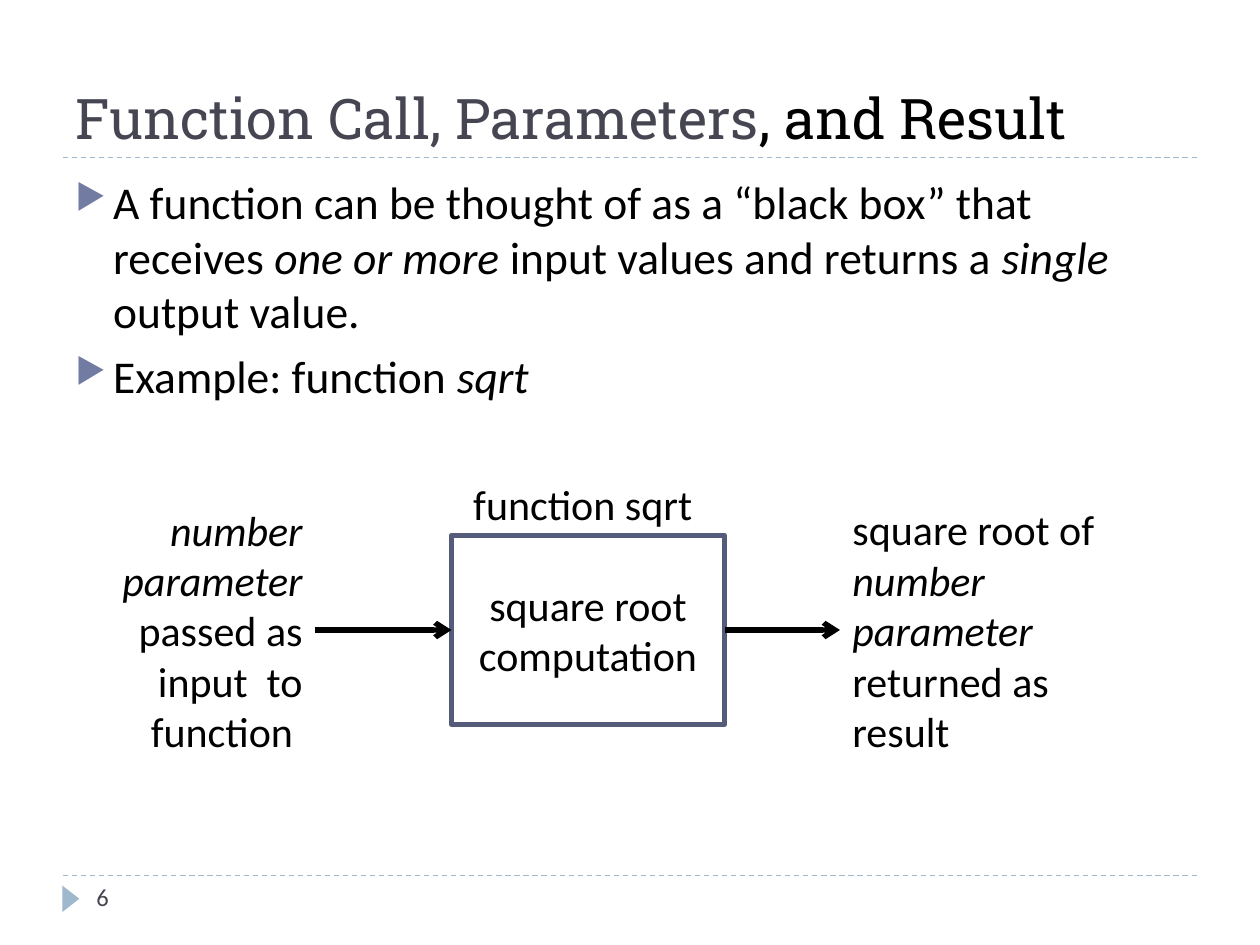
import dataclasses
import lxml.etree
import pptx
import pptx.dml.color
import pptx.enum.dml
import pptx.enum.shapes
import pptx.enum.text
import pptx.oxml.ns
import pptx.util

UNIT = pptx.util.Inches(1) / 12
COLS, ROWS = 120, 90
INK = {"black": "000000", "slate": "464653", "pale": "9FB8CD",
       "mark": "727CA3", "edge": "545C79"}
ALIGN = pptx.enum.text.PP_ALIGN
ANCHOR = pptx.enum.text.MSO_ANCHOR
SHAPE = pptx.enum.shapes.MSO_SHAPE
qn = pptx.oxml.ns.qn


@dataclasses.dataclass(frozen=True)
class Run:
    text: str
    slant: bool = False


@dataclasses.dataclass(frozen=True)
class Label:
    col: float
    row: float
    wide: float
    high: float
    runs: tuple[Run, ...]
    align: ALIGN = ALIGN.LEFT
    anchor: ANCHOR = ANCHOR.MIDDLE
    size: int = 24
    color: str = "black"
    boxed: bool = False


@dataclasses.dataclass(frozen=True)
class Rule:
    start: float
    end: float
    row: float
    color: str
    weight: float
    arrow: bool = False


def grid(*units: float) -> list[int]:
    return [round(unit * UNIT) for unit in units]


def tint(name: str) -> pptx.dml.color.RGBColor:
    return pptx.dml.color.RGBColor.from_string(INK[name])


def style(font, size: int, color: str, face: str = "Calibri") -> None:
    font.name, font.size = face, pptx.util.Pt(size)
    font.color.rgb = tint(color)


def write(para, runs: tuple[Run, ...], size: int, color: str) -> None:
    style(para.font, size, color)
    for item in runs:
        run = para.add_run()
        run.text = item.text
        if item.slant:
            run.font.italic = True


def draw_label(slide, label: Label) -> None:
    place = grid(label.col, label.row, label.wide, label.high)
    if label.boxed:
        shape = slide.shapes.add_shape(SHAPE.RECTANGLE, *place)
        shape.shadow.inherit = False
        shape.fill.background()
        shape.line.color.rgb = tint("edge")
        shape.line.width = pptx.util.Pt(3)
    else:
        shape = slide.shapes.add_textbox(*place)
    frame = shape.text_frame
    frame.word_wrap = True
    frame.vertical_anchor = label.anchor
    para = frame.paragraphs[0]
    para.alignment = label.align
    write(para, label.runs, label.size, label.color)


def draw_rule(slide, rule: Rule) -> None:
    line = slide.shapes.add_connector(
        pptx.enum.shapes.MSO_CONNECTOR.STRAIGHT,
        *grid(rule.start, rule.row, rule.end, rule.row))
    line.line.color.rgb = tint(rule.color)
    line.line.width = pptx.util.Pt(rule.weight)
    if rule.arrow:
        tip = lxml.etree.SubElement(line.line._get_or_add_ln(), qn("a:tailEnd"))
        tip.set("type", "arrow")
    else:
        line.line.dash_style = pptx.enum.dml.MSO_LINE.DASH
    lxml.etree.SubElement(line._element.spPr, qn("a:effectLst"))


def add_mark(para) -> None:
    props = para._p.get_or_add_pPr()
    inset = pptx.util.Inches(0.3)
    props.set("marL", str(inset))
    props.set("indent", str(-inset))
    color = lxml.etree.Element(qn("a:buClr"))
    lxml.etree.SubElement(color, qn("a:srgbClr")).set("val", INK["mark"])
    size = lxml.etree.Element(qn("a:buSzPct"))
    size.set("val", "76000")
    char = lxml.etree.Element(qn("a:buChar"))
    char.set("char", "▶")
    spot = props.index(props.find(qn("a:defRPr")))
    props[spot:spot] = [color, size, char]


def draw_title(slide) -> None:
    title = slide.shapes.title
    title.left, title.top, title.width, title.height = grid(6, 2, COLS - 12, 13)
    frame = title.text_frame
    frame.auto_size = pptx.enum.text.MSO_AUTO_SIZE.NONE
    frame.vertical_anchor = ANCHOR.BOTTOM
    para = frame.paragraphs[0]
    para.alignment = ALIGN.LEFT
    for text, color in (("Function Call, Parameters", "slate"),
                        (", and Result", "black")):
        run = para.add_run()
        run.text = text
        style(run.font, 32, color, "Roboto Slab")


def draw_body(slide, points: tuple[tuple[Run, ...], ...]) -> None:
    frame = slide.shapes.add_textbox(*grid(6, 16, COLS - 12, 65)).text_frame
    frame.word_wrap = True
    for spot, runs in enumerate(points):
        para = frame.add_paragraph() if spot else frame.paragraphs[0]
        write(para, runs, 26, "black")
        para.space_before = pptx.util.Pt(6)
        add_mark(para)


POINTS = (
    (Run("A function can be thought of as a “black box” that receives "),
     Run("one or more ", True), Run("input values and returns a "),
     Run("single", True), Run(" output value.")),
    (Run("Example: function "), Run("sqrt", True)),
)
LABELS = (
    Label(7, 47, 23, 26, (Run("number parameter ", True),
                          Run("passed as input  to function ")), ALIGN.RIGHT),
    Label(41, 44, 29, 8, (Run("function sqrt"),), ALIGN.CENTER),
    Label(43, 51, 26, 18, (Run("square root computation"),), ALIGN.CENTER,
          boxed=True),
    Label(80, 48, 26, 24, (Run("square root of "), Run("number parameter ", True),
                           Run("returned as result"))),
    Label(8, 83.4, 26, 4.8, (Run("6"),), anchor=ANCHOR.TOP, size=14,
          color="slate"),
)
RULES = (
    Rule(6, COLS - 6, 83.4, "pale", 0.75),
    Rule(6, COLS - 6, 15, "pale", 0.75),
    Rule(30, 43, 60, "black", 3, True),
    Rule(69, 80, 60, "black", 3, True),
)

deck = pptx.Presentation()
deck.slide_width, deck.slide_height = grid(COLS, ROWS)
slide = deck.slides.add_slide(deck.slide_layouts[5])
draw_title(slide)
draw_body(slide, POINTS)
for label in LABELS:
    draw_label(slide, label)
for rule in RULES:
    draw_rule(slide, rule)
wedge = slide.shapes.add_shape(SHAPE.ISOSCELES_TRIANGLE,
                               *grid(5.5, 84.8, 2.5, 1.6))
wedge.rotation = 90
wedge.shadow.inherit = False
wedge.fill.solid()
wedge.fill.fore_color.rgb = tint("pale")
wedge.line.fill.background()
deck.save("out.pptx")
